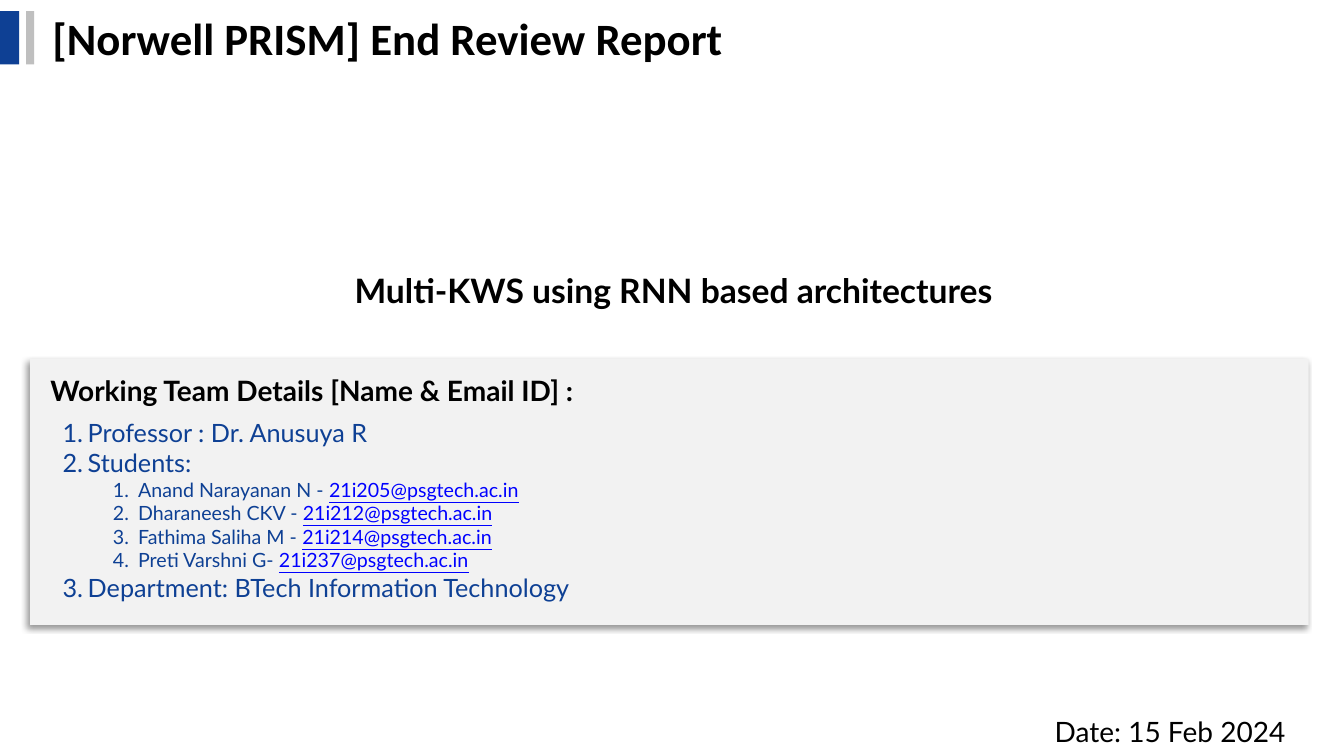
from lxml.etree import SubElement
from pptx import Presentation
from pptx.dml.color import RGBColor
from pptx.enum.shapes import MSO_SHAPE
from pptx.enum.text import MSO_ANCHOR, MSO_AUTO_SIZE, PP_ALIGN
from pptx.oxml.ns import qn
from pptx.util import Inches, Pt

BLACK = RGBColor(0x00, 0x00, 0x00)
WHITE = RGBColor(0xFF, 0xFF, 0xFF)
NAVY = RGBColor(0x0E, 0x40, 0x94)
LINK_BLUE = RGBColor(0x00, 0x00, 0xFF)
GRAY = RGBColor(0xBF, 0xBF, 0xBF)
PALE_GRAY = RGBColor(0xF2, 0xF2, 0xF2)

deck = Presentation()
deck.slide_width, deck.slide_height = Inches(13.33), Inches(7.5)
page = deck.slides.add_slide(deck.slide_layouts[5])
page.background.fill.solid()
page.background.fill.fore_color.rgb = WHITE


def place_frame(box, left, top, width, height, anchor=MSO_ANCHOR.MIDDLE, wrap=True):
    """Position a text box and return its formatted text frame."""
    box.left, box.top = Inches(left), Inches(top)
    box.width, box.height = Inches(width), Inches(height)
    frame = box.text_frame
    frame.margin_left = frame.margin_right = Inches(0.05)
    frame.margin_top = frame.margin_bottom = Inches(0.05)
    frame.vertical_anchor = anchor
    frame.word_wrap = wrap
    frame.auto_size = MSO_AUTO_SIZE.SHAPE_TO_FIT_TEXT
    return frame


def add_span(para, text, size, color=BLACK, font="Lato", bold=False,
             underline=None, align=PP_ALIGN.JUSTIFY):
    """Add formatted text to a paragraph."""
    para.alignment = align
    span = para.add_run()
    span.text = text
    span.font.name = font
    span.font.size = Pt(size)
    span.font.bold = bold
    span.font.underline = underline
    span.font.color.rgb = color


# Team panel and the two title bars
for left, top, width, height, color in (
    (0.3, 3.56, 12.68, 2.64, PALE_GRAY),
    (0, 0.11, 0.19, 0.53, NAVY),
    (0.26, 0.11, 0.08, 0.53, GRAY),
):
    block = page.shapes.add_shape(MSO_SHAPE.RECTANGLE, Inches(left), Inches(top),
                                  Inches(width), Inches(height))
    block.fill.solid()
    block.fill.fore_color.rgb = color
    block.line.fill.background()
    block.shadow.inherit = False
    if color == PALE_GRAY:
        effects = block._element.spPr.find(qn("a:effectLst"))
        shadow = SubElement(effects, qn("a:outerShdw"), blurRad=str(Pt(4)),
                            dist=str(Pt(3)), dir=str(135 * 60000),
                            algn="tr", rotWithShape="0")
        shade = SubElement(shadow, qn("a:srgbClr"), val=str(BLACK))
        SubElement(shade, qn("a:alpha"), val="40000")

# Title
title = place_frame(page.shapes.title, 0.47, 0.06, 10.18, 0.63)
add_span(title.paragraphs[0], "[Norwell PRISM] End Review Report", 32,
         font="Calibri", bold=True)

# Topic, team heading and date
for text, area, size, bold, align, anchor, wrap in (
    ("Multi-KWS using RNN based architectures", (1.59, 2.63, 10.18, 0.5),
     24, True, PP_ALIGN.CENTER, MSO_ANCHOR.MIDDLE, True),
    ("Working Team Details [Name & Email ID] :", (0.45, 3.66, 5.63, 0.43),
     20, True, PP_ALIGN.JUSTIFY, MSO_ANCHOR.TOP, False),
    ("Date: 15 Feb 2024", (10.41, 7.04, 2.87, 0.43),
     20, False, PP_ALIGN.JUSTIFY, MSO_ANCHOR.MIDDLE, True),
):
    box = page.shapes.add_textbox(0, 0, 0, 0)
    frame = place_frame(box, *area, anchor=anchor, wrap=wrap)
    add_span(frame.paragraphs[0], text, size, bold=bold, align=align)

# Numbered team list: level, text, email
team = (
    (0, "Professor : Dr. Anusuya R", ""),
    (0, "Students:", ""),
    (1, "Anand Narayanan N - ", "21i205@psgtech.ac.in"),
    (1, "Dharaneesh CKV - ", "21i212@psgtech.ac.in"),
    (1, "Fathima Saliha M - ", "21i214@psgtech.ac.in"),
    (1, "Preti Varshni G- ", "21i237@psgtech.ac.in"),
    (0, "Department: BTech Information Technology", ""),
)
team_box = page.shapes.add_textbox(0, 0, 0, 0)
team_frame = place_frame(team_box, 0.57, 4.09, 11.81, 1.96, anchor=MSO_ANCHOR.TOP)
for index, (level, text, email) in enumerate(team):
    para = team_frame.add_paragraph() if index else team_frame.paragraphs[0]
    para.level = level
    settings = para._p.get_or_add_pPr()
    settings.set("marL", str(Inches(0.25 + 0.5 * level)))
    settings.set("indent", str(Inches(-0.25)))
    SubElement(settings, qn("a:buFont"), typeface="+mj-lt")
    SubElement(settings, qn("a:buAutoNum"), type="arabicPeriod")
    size = 14 if level else 18
    add_span(para, text, size, color=NAVY)
    if email:
        add_span(para, email, size, color=LINK_BLUE, underline=True)

deck.save("out.pptx")
